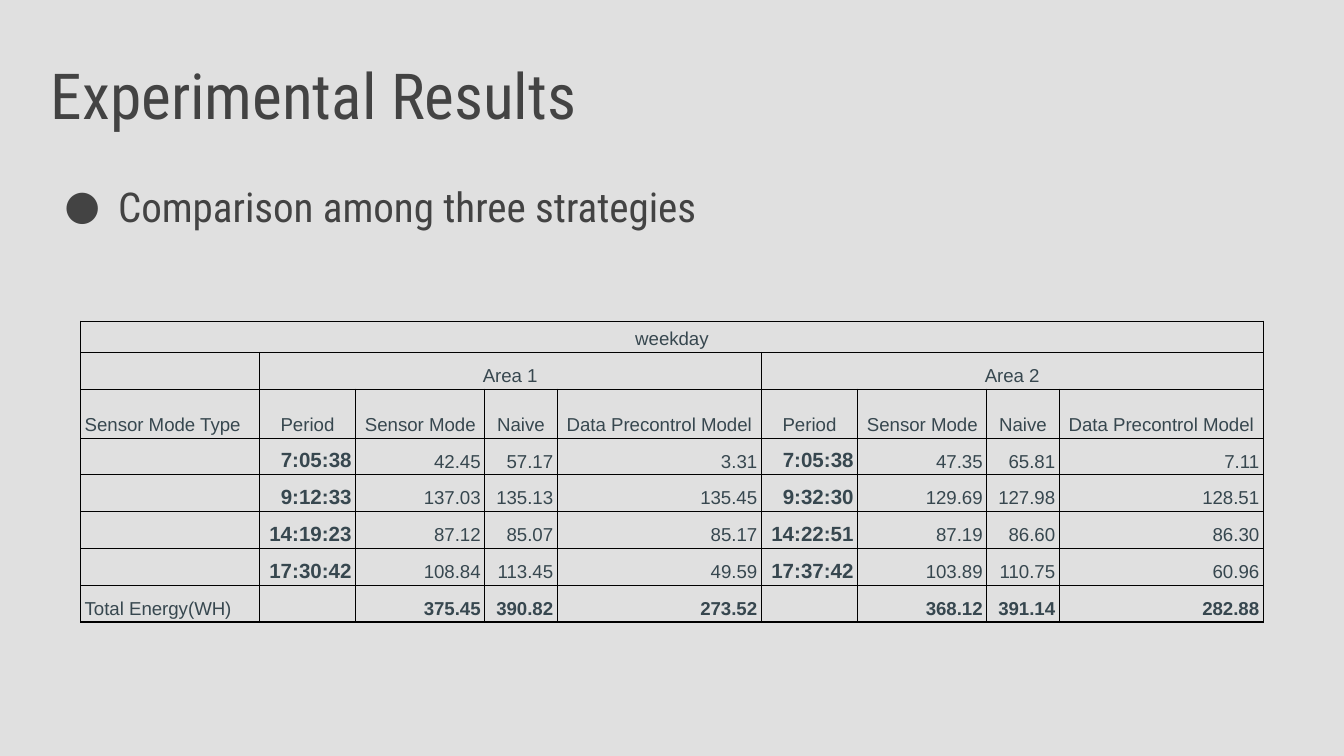
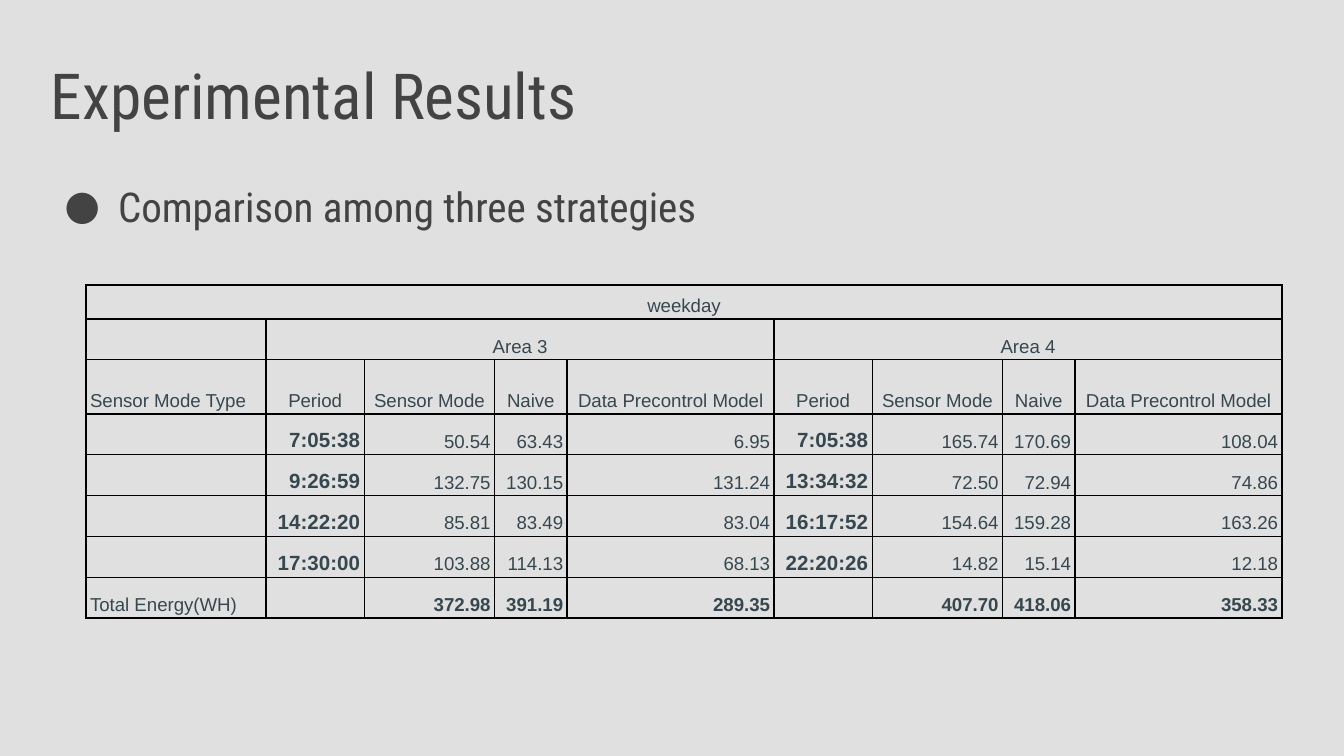
from pptx import Presentation
from pptx.dml.color import RGBColor
from pptx.enum.text import MSO_ANCHOR, PP_ALIGN
from pptx.oxml.ns import qn
from pptx.util import Inches, Pt
from lxml.etree import SubElement

HUES = {"back": "E0E0E0", "head": "434343", "cell": "37474F", "line": "000000"}
LEFT, MID, RIGHT = PP_ALIGN.LEFT, PP_ALIGN.CENTER, PP_ALIGN.RIGHT
HEADS = ["Period", "Sensor Mode", "Naive", "Data Precontrol Model"]


def write(para, text, size=10, font="Arial", hue="cell", bold=False, align=LEFT, lead=None):
    para.alignment = align
    para.line_spacing = lead
    if not text:
        end = SubElement(para._p, qn("a:endParaRPr"), sz=str(size * 100))
        SubElement(end, qn("a:latin"), typeface=font)
        return
    run = para.add_run()
    run.text = text
    run.font.size = Pt(size)
    run.font.name = font
    run.font.bold = bold
    run.font.color.rgb = RGBColor.from_string(HUES[hue])


def share(parts, whole):
    return [Inches(part * whole / sum(parts)) for part in parts]


class Deck:
    def __init__(self):
        self.file = Presentation()
        self.file.slide_width = Inches(10)
        self.file.slide_height = Inches(10) * 9 // 16
        self.font = "Roboto Condensed"
        self.page = None

    def start(self):
        self.page = self.file.slides.add_slide(self.file.slide_layouts[6])
        fill = self.page.background.fill
        fill.solid()
        fill.fore_color.rgb = RGBColor.from_string(HUES["back"])

    def intro(self, title, point):
        box = self.page.shapes.add_textbox(Inches(0.28), Inches(0.32), Inches(9.25), Inches(4.82))
        frame = box.text_frame
        frame.word_wrap = True
        frame.margin_left = frame.margin_right = Inches(0.1)
        frame.margin_top = frame.margin_bottom = Inches(0.1)
        write(frame.paragraphs[0], title, size=34, font=self.font, hue="head")
        para = frame.add_paragraph()
        para.space_before = Pt(26)
        write(para, point, size=22, font=self.font, hue="head")
        props = para._p.get_or_add_pPr()
        props.set("marL", str(Inches(0.5)))
        props.set("indent", str(-Inches(0.4)))
        tint = SubElement(props, qn("a:buClr"))
        SubElement(tint, qn("a:srgbClr"), val=HUES["head"])
        SubElement(props, qn("a:buFont"), typeface=self.font)
        SubElement(props, qn("a:buChar"), char="●")

    def edge(self, cell):
        props = cell._tc.get_or_add_tcPr()
        for side in ("a:lnL", "a:lnR", "a:lnT", "a:lnB"):
            line = SubElement(props, qn(side), w=str(Pt(0.75)))
            fill = SubElement(line, qn("a:solidFill"))
            SubElement(fill, qn("a:srgbClr"), val=HUES["line"])

    def cell(self, cell, text, **form):
        cell.margin_left = cell.margin_right = Inches(0.03)
        cell.margin_top = cell.margin_bottom = Inches(0.02)
        cell.vertical_anchor = MSO_ANCHOR.BOTTOM
        write(cell.text_frame.paragraphs[0], text, lead=1.15, **form)
        self.edge(cell)
        cell.fill.background()

    def table(self, left, top, width, height, cols, rows, areas, data, total):
        grid = [
            ["weekday"] + [""] * 8,
            ["", areas[0], "", "", "", areas[1], "", "", ""],
            ["Sensor Mode Type"] + HEADS * 2,
            *[[""] + line.split() for line in data],
            ["Total Energy(WH)", "", *total[:3], "", *total[3:]],
        ]
        table = self.page.shapes.add_table(
            len(grid), 9, Inches(left), Inches(top), Inches(width), Inches(height)
        ).table
        table.first_row = table.horz_banding = False
        for col, wide in zip(table.columns, share(cols, width)):
            col.width = wide
        for row, high in zip(table.rows, share(rows, height)):
            row.height = high
        last = len(grid) - 1
        for r, line in enumerate(grid):
            for c, text in enumerate(line):
                time = 2 < r < last and c in (1, 5)
                align = MID if r < 3 else RIGHT
                if c == 0 and r > 0:
                    align = LEFT
                bold = time or (r == last and c > 0)
                self.cell(table.cell(r, c), text, size=11 if time else 10, bold=bold, align=align)
        for r, first, end in ((0, 0, 8), (1, 1, 4), (1, 5, 8)):
            table.cell(r, first).merge(table.cell(r, end))


TABLES = [
    dict(
        left=0.6, top=2.39, width=8.8, height=2.23,
        cols=[1.33] + [0.72, 0.96, 0.54, 1.52] * 2,
        rows=[0.22, 0.27, 0.36] + [0.27] * 5,
        areas=["Area 1", "Area 2"],
        data=[
            "7:05:38 42.45 57.17 3.31 7:05:38 47.35 65.81 7.11",
            "9:12:33 137.03 135.13 135.45 9:32:30 129.69 127.98 128.51",
            "14:19:23 87.12 85.07 85.17 14:22:51 87.19 86.60 86.30",
            "17:30:42 108.84 113.45 49.59 17:37:42 103.89 110.75 60.96",
        ],
        total="375.45 390.82 273.52 368.12 391.14 282.88".split(),
    ),
    dict(
        left=0.64, top=2.12, width=8.9, height=2.48,
        cols=[1.34] + [0.73, 0.97, 0.54, 1.54] * 2,
        rows=[0.25, 0.3, 0.4] + [0.3] * 5,
        areas=["Area 3", "Area 4"],
        data=[
            "7:05:38 50.54 63.43 6.95 7:05:38 165.74 170.69 108.04",
            "9:26:59 132.75 130.15 131.24 13:34:32 72.50 72.94 74.86",
            "14:22:20 85.81 83.49 83.04 16:17:52 154.64 159.28 163.26",
            "17:30:00 103.88 114.13 68.13 22:20:26 14.82 15.14 12.18",
        ],
        total="372.98 391.19 289.35 407.70 418.06 358.33".split(),
    ),
]


def main():
    deck = Deck()
    for table in TABLES:
        deck.start()
        deck.intro("Experimental Results", "Comparison among three strategies")
        deck.table(**table)
    deck.file.save("out.pptx")


if __name__ == "__main__":
    main()
